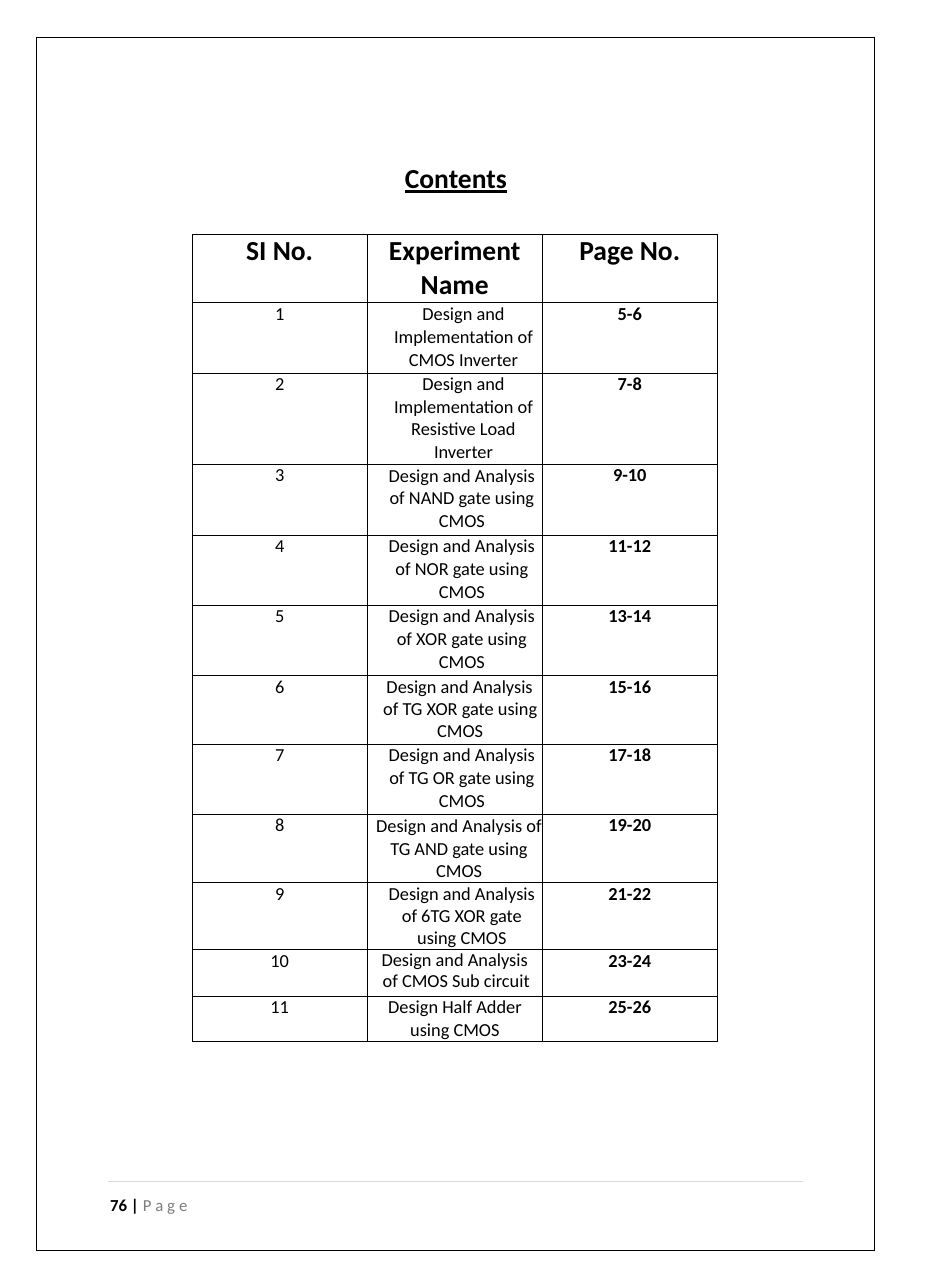
"""Build the contents page of a CMOS lab report."""
from lxml.etree import SubElement
from pptx import Presentation
from pptx.dml.color import RGBColor
from pptx.enum.shapes import MSO_CONNECTOR
from pptx.enum.text import PP_ALIGN
from pptx.oxml.ns import qn
from pptx.util import Inches, Pt

BLACK = RGBColor(0, 0, 0)
GREY = RGBColor(0x7D, 0x7D, 0x7D)
RULE = RGBColor(0xD9, 0xD9, 0xD9)
LEFT, CENTER = PP_ALIGN.LEFT, PP_ALIGN.CENTER

prs = Presentation()
prs.slide_width, prs.slide_height = Inches(8.5), Inches(11.7)
COL, ROW = prs.slide_width / 85, prs.slide_height / 117
s = prs.slides.add_slide(prs.slide_layouts[6])


def add_run(p, text, size, color=BLACK, **formats):
    r = p.add_run()
    r.text = text
    r.font.color.rgb = color
    for name, value in {"name": "Calibri", "size": Pt(size), **formats}.items():
        setattr(r.font, name, value)


def add_box(x, y, w, h):
    tf = s.shapes.add_textbox(int(x * COL), int(y * ROW), int(w * COL), int(h * ROW)).text_frame
    for side in ("left", "top", "right", "bottom"):
        setattr(tf, f"margin_{side}", 0)
    tf.word_wrap = True
    return tf.paragraphs[0]


x1, y1, x2, y2 = 3.35, 3.4, 79.4, 113.6
lines = [
    (9.8, 107.3, 72.9, 107.3, RULE),
    (x1, y1, x2, y1, BLACK),
    (x1, y1, x1, y2, BLACK),
    (x2, y1, x2, y2, BLACK),
    (x1, y2, x2, y2, BLACK),
]
for xa, ya, xb, yb, color in lines:
    line = s.shapes.add_connector(
        MSO_CONNECTOR.STRAIGHT, int(xa * COL), int(ya * ROW), int(xb * COL), int(yb * ROW))
    line.line.color.rgb = color
    line.line.width = Pt(0.58)
    SubElement(line._element.spPr, qn("a:effectLst"))

p = add_box(36, 14.6, 10.8, 2.8)
p.alignment = CENTER
add_run(p, "Contents", 18, bold=True, underline=True)

p = add_box(10, 108.5, 20.2, 1.9)
add_run(p, "76 | ", 11, bold=True)
add_run(p, "P a g e", 11, GREY)

experiments = [
    ("Design and Implementation of CMOS Inverter", 6.4, CENTER, 1.6, 0, 1.02),
    ("Design and Implementation of Resistive Load Inverter", 8.3, CENTER, 1.6, 0, 1.01),
    ("Design and Analysis of NAND gate using CMOS", 6.4, CENTER, 1.3, 0, 1.01),
    ("Design and Analysis of NOR gate using CMOS", 6.4, CENTER, 1.3, 0, 1.02),
    ("Design and Analysis of XOR gate using CMOS", 6.4, CENTER, 1.3, 0, 1.01),
    ("Design and Analysis of TG XOR gate using CMOS", 6.2, CENTER, 1, -0.1, 1.0),
    ("Design and Analysis of TG OR gate using CMOS", 6.4, CENTER, 1.3, 0, 1.02),
    ("Design and Analysis of TG AND gate using CMOS", 6.2, CENTER, 0.8, 0, 1.02),
    ("Design and Analysis of 6TG XOR gate using CMOS", 6.1, CENTER, 1.3, 0, 1.0),
    ("Design and Analysis of CMOS Sub circuit", 4.2, LEFT, 1.4, -0.1, Pt(14)),
    ("Design Half Adder using CMOS", 4.1, LEFT, 3.9, -2, 1.02),
]
rows = [("SI No.", "Experiment Name", "Page No.", 6.2, CENTER, 0, 0, 1.01)]
for n, (title, *layout) in enumerate(experiments, 1):
    rows.append((str(n), title, f"{2 * n + 3}-{2 * n + 4}", *layout))

table = s.shapes.add_table(
    len(rows), 3, int(17.45 * COL), int(21.3 * ROW),
    int(47.7 * COL), int(sum(row[3] for row in rows) * ROW)).table
table.first_row = table.horz_banding = False
for column in table.columns:
    column.width = int(15.9 * COL)

for i, (number, title, pages, height, align, margin, indent, spacing) in enumerate(rows):
    table.rows[i].height = int(height * ROW)
    for j, text in enumerate((number, title, pages)):
        cell = table.cell(i, j)
        for side in ("left", "top", "right", "bottom"):
            setattr(cell, f"margin_{side}", 0)
        tcPr = cell._tc.get_or_add_tcPr()
        for tag in ("a:lnL", "a:lnR", "a:lnT", "a:lnB"):
            ln = SubElement(tcPr, qn(tag), w=str(Pt(0.58)))
            SubElement(SubElement(ln, qn("a:solidFill")), qn("a:srgbClr"), val=str(BLACK))
        cell.fill.background()
        p = cell.text_frame.paragraphs[0]
        p.alignment = CENTER
        if j == 1:
            p.alignment = align
            p.line_spacing = spacing
            pPr = p._p.get_or_add_pPr()
            pPr.set("marL", str(int(margin * COL)))
            pPr.set("indent", str(int(indent * COL)))
        add_run(p, text, 12 if i else 18, bold=i == 0 or j == 2)

prs.save("out.pptx")
